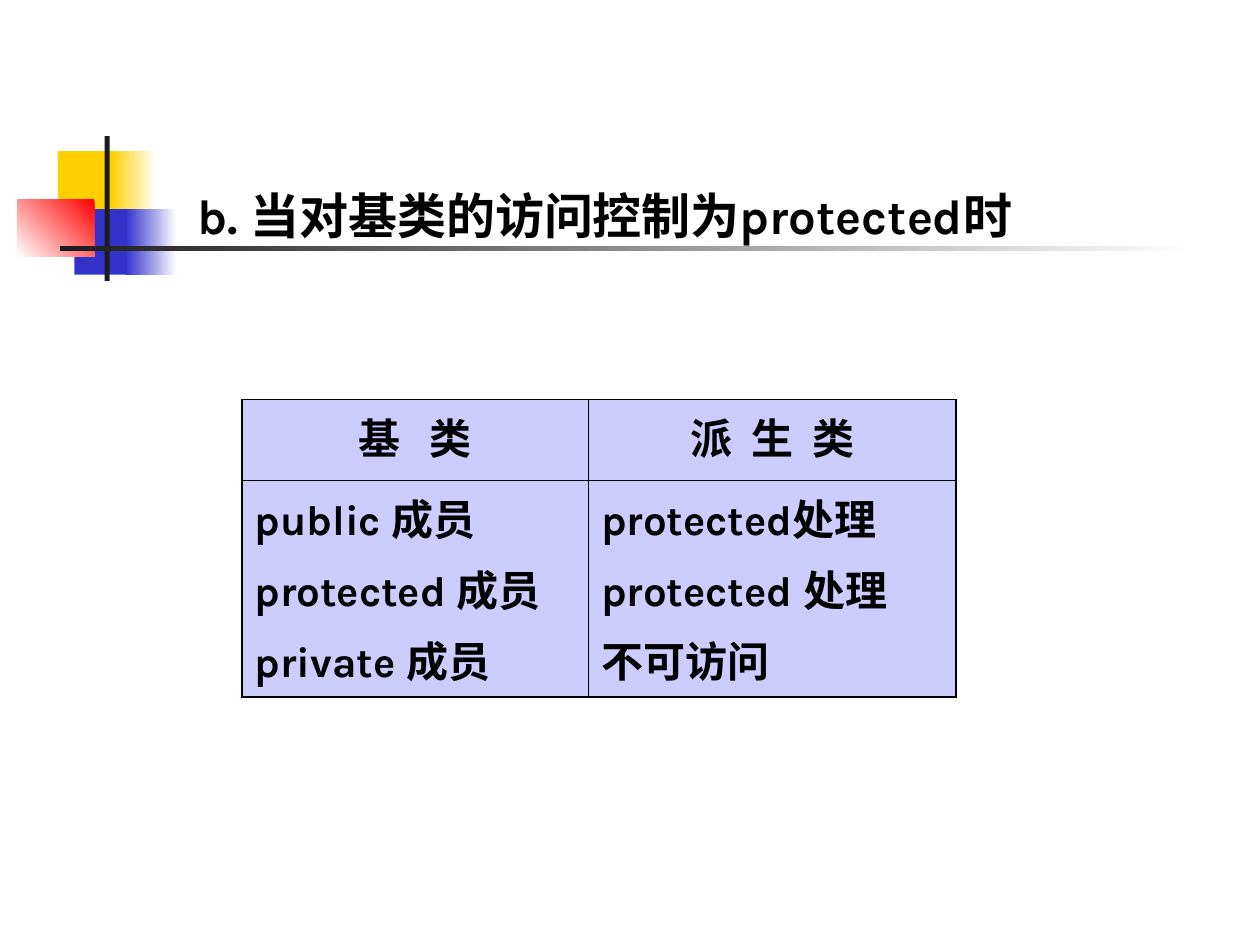
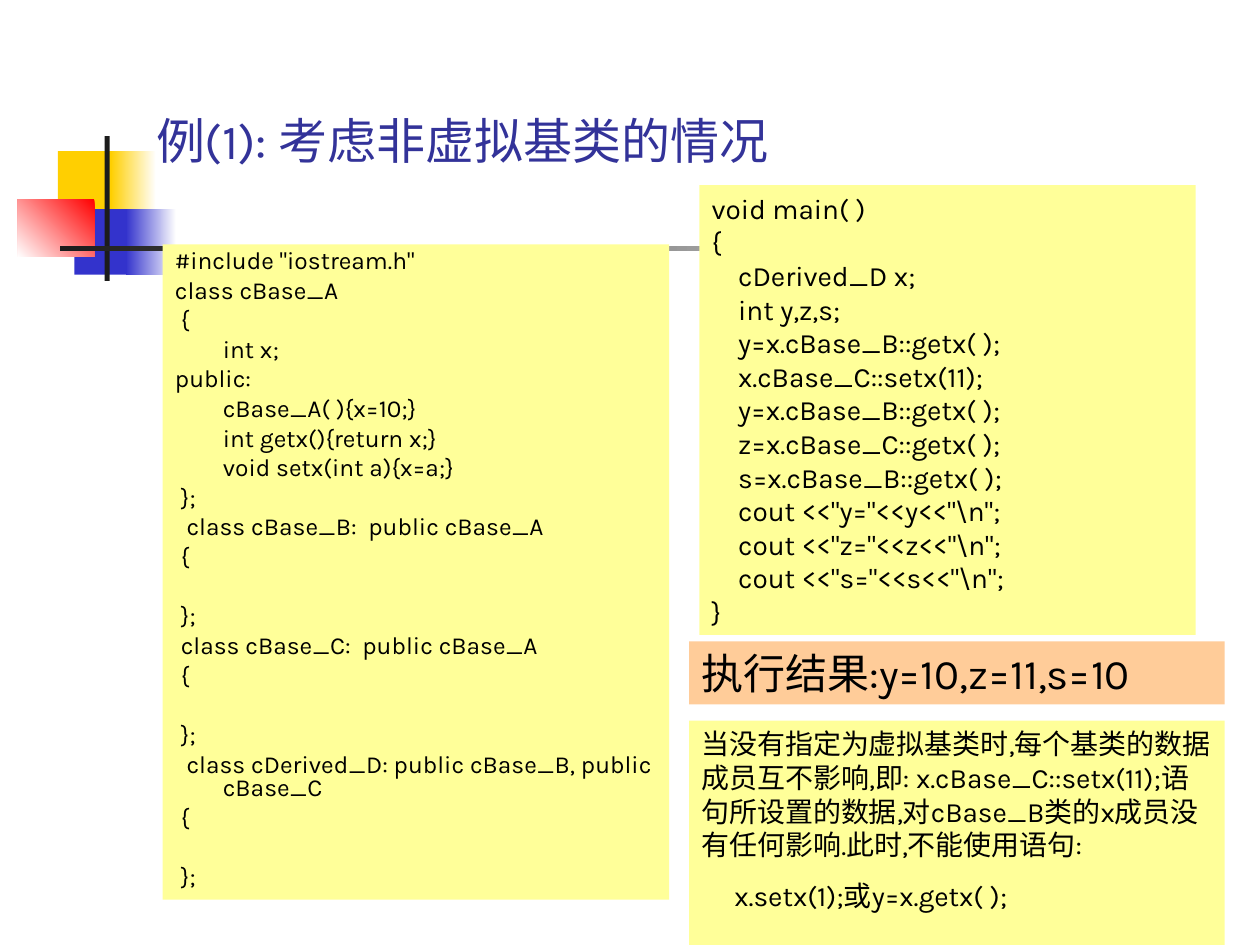
from pptx import Presentation
from pptx.dml.color import RGBColor
from pptx.enum.shapes import MSO_SHAPE
from pptx.enum.text import MSO_ANCHOR, PP_ALIGN
from pptx.oxml.ns import qn
from pptx.util import Inches, Pt
from lxml.etree import SubElement

BLACK, WHITE, CHARCOAL = "000000", "FFFFFF", "1C1C1C"
GOLD, BLUE, RED = "FFCF01", "3333CC", "FF0000"
TITLE_BLUE, LAVENDER, CREAM, PEACH = "333399", "CCCCFF", "FFFF99", "FFCC99"
LATIN, CHINESE = "Karla", "Noto Sans CJK SC"
OUTER_LINE, INNER_LINE = 1.08, 0.45

CLASS_CODE = """#include "iostream.h"
class cBase_A
 {
\tint x;
public:
\tcBase_A( ){x=10;}
\tint getx(){return x;}
\tvoid setx(int a){x=a;}
 };
  class cBase_B:  public cBase_A
 {

 };
 class cBase_C:  public cBase_A
 {

 };
  class cDerived_D: public cBase_B, public cBase_C
 {

 };"""

MAIN_CODE = r"""void main( )
{
    cDerived_D x;
    int y,z,s;
    y=x.cBase_B::getx( );
    x.cBase_C::setx(11);
    y=x.cBase_B::getx( );
    z=x.cBase_C::getx( );
    s=x.cBase_B::getx( );
    cout <<"y="<<y<<"\n";
    cout <<"z="<<z<<"\n";
    cout <<"s="<<s<<"\n";
}"""


def color(value):
    return RGBColor.from_string(value)


class LessonDeck:
    def __init__(self):
        self.deck = Presentation()
        self.deck.slide_width = Inches(10)
        self.deck.slide_height = Inches(7.5)
        self.page = None

    def add_page(self):
        self.page = self.deck.slides.add_slide(self.deck.slide_layouts[6])
        self.block(0.46, 1.2, 0.48, 0.52, GOLD)
        self.block(0.88, 1.2, 0.36, 0.52, WHITE, GOLD)
        self.block(0.59, 1.66, 0.46, 0.52, BLUE)
        self.block(1, 1.66, 0.4, 0.52, WHITE, BLUE)
        self.block(0.14, 1.58, 0.61, 0.46, RED, WHITE, 225)
        self.block(0.83, 1.08, 0.04, 1.15, CHARCOAL)
        self.block(0.48, 1.95, 9, 0.04, WHITE, CHARCOAL)

    def block(self, left, top, width, height, start, end=None, angle=180):
        shape = self.page.shapes.add_shape(
            MSO_SHAPE.RECTANGLE, Inches(left), Inches(top), Inches(width), Inches(height))
        shape.shadow.inherit = False
        shape.line.fill.background()
        if end is None:
            shape.fill.solid()
            shape.fill.fore_color.rgb = color(start)
            return
        shape.fill.gradient()
        shape.fill.gradient_angle = angle
        for stop, value in zip(shape.fill.gradient_stops, (start, end)):
            stop.color.rgb = color(value)

    def text_box(self, left, top, width, height, fill=None, anchor=MSO_ANCHOR.TOP):
        box = self.page.shapes.add_textbox(
            Inches(left), Inches(top), Inches(width), Inches(height))
        if fill:
            box.fill.solid()
            box.fill.fore_color.rgb = color(fill)
        box.text_frame.word_wrap = True
        box.text_frame.vertical_anchor = anchor
        return box.text_frame

    def paragraph(self, frame, spans, size, bold=False, ink=BLACK, before=0, left=0, hanging=0):
        para = frame.paragraphs[0]
        if para.runs:
            para = frame.add_paragraph()
            para.space_before = Pt(before)
        if left:
            properties = para._p.get_or_add_pPr()
            properties.set("marL", str(Inches(left)))
            properties.set("indent", str(-Inches(hanging)))
        for text in spans:
            span = para.add_run()
            span.text = text
            span.font.size = Pt(size)
            span.font.bold = bold
            span.font.color.rgb = color(ink)
            has_latin = any(letter.isascii() and not letter.isspace() for letter in text)
            span.font.name = LATIN if has_latin else CHINESE
            SubElement(span._r.rPr, qn("a:ea"), typeface=CHINESE)
        return para

    def code(self, frame, listing, size, before=0, blank_line=0, line_spacing=None, hanging=0):
        gap = before
        for line in listing.splitlines():
            if not line:
                gap += blank_line
                continue
            para = self.paragraph(frame, [line], size, before=gap, left=hanging, hanging=hanging)
            para.line_spacing = line_spacing
            gap = before

    def border(self, cell, side, width):
        line = SubElement(cell._tc.get_or_add_tcPr(), qn(f"a:ln{side}"), w=str(Pt(width)))
        fill = SubElement(line, qn("a:solidFill"))
        SubElement(fill, qn("a:srgbClr"), val=BLACK)

    def table(self, left, top, widths, heights, rows):
        table = self.page.shapes.add_table(
            len(rows), len(widths), Inches(left), Inches(top),
            Inches(sum(widths)), Inches(sum(heights))).table
        table.first_row = table.horz_banding = False
        for column, width in zip(table.columns, widths):
            column.width = Inches(width)
        for row, height in zip(table.rows, heights):
            row.height = Inches(height)
        for row_index, row in enumerate(rows):
            for column_index, lines in enumerate(row):
                cell = table.cell(row_index, column_index)
                outer_sides = {
                    "L": column_index == 0,
                    "R": column_index == len(widths) - 1,
                    "T": row_index == 0,
                    "B": row_index == len(rows) - 1,
                }
                for side, outer in outer_sides.items():
                    self.border(cell, side, OUTER_LINE if outer else INNER_LINE)
                cell.fill.solid()
                cell.fill.fore_color.rgb = color(LAVENDER)
                for spans in lines:
                    para = self.paragraph(cell.text_frame, spans, 24, bold=True, before=6)
                    if row_index == 0:
                        para.alignment = PP_ALIGN.CENTER
                        self.widen_spaces(para, 11 if len(spans) == 3 else 5.5)

    def widen_spaces(self, para, points):
        for span in para.runs:
            if span.text == " ":
                span._r.rPr.set("spc", str(int(points * 100)))


def access_control_page(lesson):
    lesson.add_page()
    heading = lesson.text_box(1.17, 1.42, 8.17, 0.58)
    lesson.paragraph(
        heading, ["b. ", "当对基类的访问控制为", "protected", "时"], 28, bold=True, left=0.3)
    header = [[["基", " ", "类"]], [["派", " ", "生", " ", "类"]]]
    members = [["public ", "成员"], ["protected ", "成员"], ["private ", "成员"]]
    treatment = [["protected", "处理"], ["protected ", "处理"], ["不可访问"]]
    lesson.table(1.92, 3.17, [2.75, 2.92], [0.64, 1.72], [header, [members, treatment]])


def base_class_example_page(lesson):
    lesson.add_page()
    title = lesson.text_box(1.14, 0.84, 8.52, 0.55, anchor=MSO_ANCHOR.BOTTOM)
    lesson.paragraph(title, ["例(1): 考虑非虚拟基类的情况"], 28, ink=TITLE_BLUE)

    classes = lesson.text_box(1.29, 1.94, 4.02, 5.2, CREAM)
    lesson.code(classes, CLASS_CODE, 14, before=3.5, blank_line=17, line_spacing=0.8, hanging=0.38)

    main_program = lesson.text_box(5.55, 1.47, 3.94, 3.57, CREAM)
    lesson.code(main_program, MAIN_CODE, 16)

    result = lesson.text_box(5.47, 5.09, 4.25, 0.5, PEACH)
    lesson.paragraph(result, ["执行结果:y=10,z=11,s=10"], 24)

    explanation = lesson.text_box(5.47, 5.72, 4.25, 1.78, CREAM)
    lesson.paragraph(
        explanation,
        ["当没有指定为虚拟基类时,每个基类的数据成员互不影响,即: x.cBase_C::setx(11);"
         "语句所设置的数据,对cBase_B类的x成员没有任何影响.此时,不能使用语句:"], 16)
    lesson.paragraph(explanation, ["x.setx(1);或y=x.getx( );"], 16, before=10, left=0.26)


def main():
    lesson = LessonDeck()
    access_control_page(lesson)
    base_class_example_page(lesson)
    lesson.deck.save("out.pptx")


if __name__ == "__main__":
    main()
